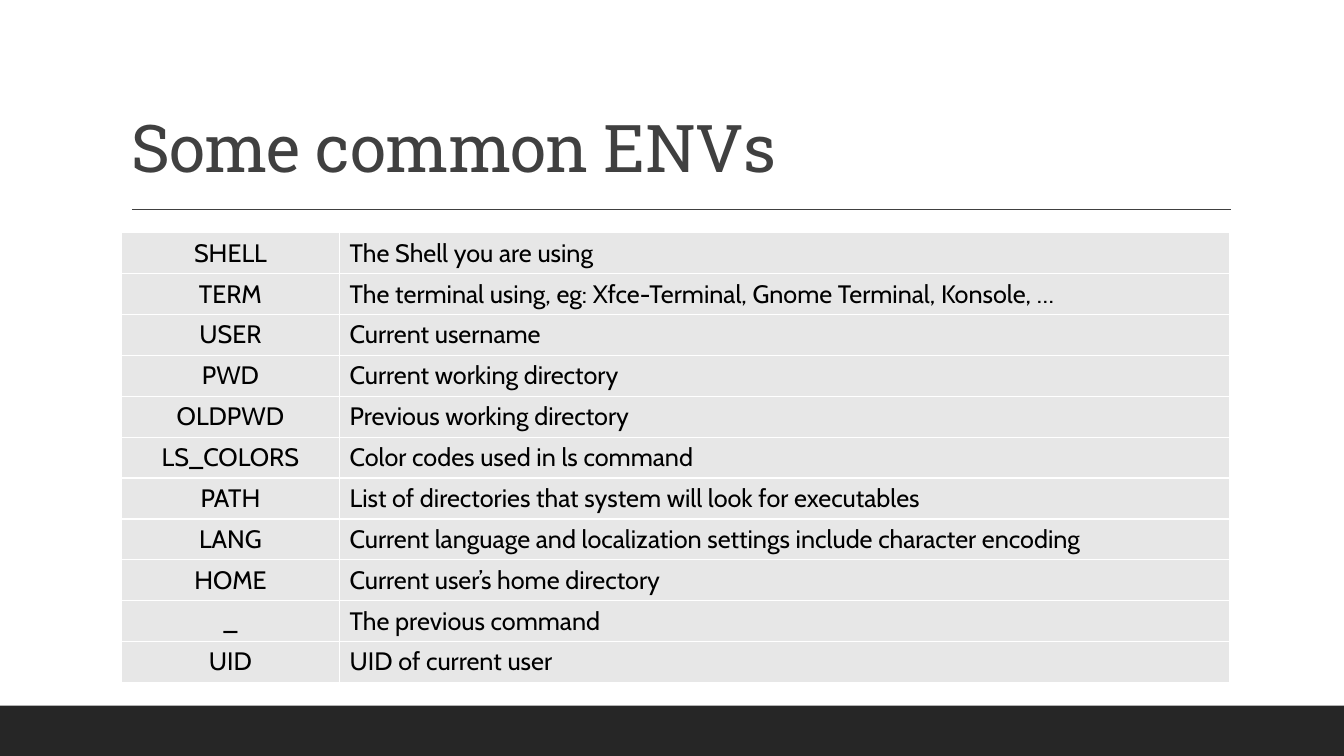
"""Builds a slide with a table of common shell environment variables."""
from lxml import etree
from pptx import Presentation
from pptx.dml.color import RGBColor
from pptx.enum.shapes import MSO_CONNECTOR, MSO_SHAPE
from pptx.enum.text import MSO_ANCHOR, PP_ALIGN
from pptx.oxml import parse_xml
from pptx.oxml.ns import qn
from pptx.util import Pt

RECTANGLE = MSO_SHAPE.RECTANGLE
STRAIGHT = MSO_CONNECTOR.STRAIGHT
BOTTOM = MSO_ANCHOR.BOTTOM
LEFT, CENTER = PP_ALIGN.LEFT, PP_ALIGN.CENTER

FOOTER_COLOR = RGBColor(0x26, 0x26, 0x26)
TITLE_COLOR = RGBColor(0x40, 0x40, 0x40)
CELL_COLOR = RGBColor(0xE7, 0xE7, 0xE7)
BLACK = RGBColor(0, 0, 0)

BORDER = (
    '<a:{} xmlns:a="http://schemas.openxmlformats.org/drawingml/2006/main" w="12700">'
    '<a:solidFill><a:srgbClr val="FFFFFF"/></a:solidFill></a:{}>'
)

VARIABLES = [
    ("SHELL", "The Shell you are using"),
    ("TERM", "The terminal using, eg: Xfce-Terminal, Gnome Terminal, Konsole, …"),
    ("USER", "Current username"),
    ("PWD", "Current working directory"),
    ("OLDPWD", "Previous working directory"),
    ("LS_COLORS", "Color codes used in ls command"),
    ("PATH", "List of directories that system will look for executables"),
    ("LANG", "Current language and localization settings include character encoding"),
    ("HOME", "Current user’s home directory"),
    ("_", "The previous command"),
    ("UID", "UID of current user"),
]
ROW_HEIGHT = 29.2


def add_run(paragraph, text, font_name, size, color):
    run = paragraph.add_run()
    run.text = text
    run.font.name = font_name
    run.font.size = Pt(size)
    run.font.color.rgb = color
    return run


deck = Presentation()
deck.slide_width, deck.slide_height = Pt(960), Pt(540)
slide = deck.slides.add_slide(deck.slide_layouts[6])

footer = slide.shapes.add_shape(RECTANGLE, Pt(0), Pt(504), Pt(960), Pt(36))
footer.shadow.inherit = False
footer.fill.solid()
footer.fill.fore_color.rgb = FOOTER_COLOR
footer.line.fill.background()

rule = slide.shapes.add_connector(STRAIGHT, Pt(94.3), Pt(149.5), Pt(879), Pt(149.5))
rule.line.color.rgb = TITLE_COLOR
rule.line.width = Pt(1)
etree.SubElement(rule._element.spPr, qn("a:effectLst"))

title = slide.shapes.add_textbox(Pt(86.6), Pt(22.5), Pt(792), Pt(114.2)).text_frame
title.word_wrap = True
title.vertical_anchor = BOTTOM
heading = title.paragraphs[0]
heading.line_spacing = 0.9
heading_run = add_run(heading, "Some common ENVs", "Roboto Slab", 47, TITLE_COLOR)
heading_run._r.get_or_add_rPr().set("spc", "-50")

variable_table = slide.shapes.add_table(
    len(VARIABLES), 2, Pt(86.6), Pt(166.3), Pt(792), Pt(ROW_HEIGHT * len(VARIABLES))
).table
variable_table.first_row = False
variable_table.horz_banding = False
variable_table.columns[0].width = Pt(156)
variable_table.columns[1].width = Pt(636)

for row_index, entry in enumerate(VARIABLES):
    variable_table.rows[row_index].height = Pt(ROW_HEIGHT)
    for column_index, (text, alignment) in enumerate(zip(entry, (CENTER, LEFT))):
        cell = variable_table.cell(row_index, column_index)
        cell_properties = cell._tc.get_or_add_tcPr()
        for side in ("lnL", "lnR", "lnT", "lnB"):
            cell_properties.append(parse_xml(BORDER.format(side, side)))
        cell.fill.solid()
        cell.fill.fore_color.rgb = CELL_COLOR
        paragraph = cell.text_frame.paragraphs[0]
        paragraph.alignment = alignment
        add_run(paragraph, text, "Cabin", 18, BLACK)

deck.save("out.pptx")
